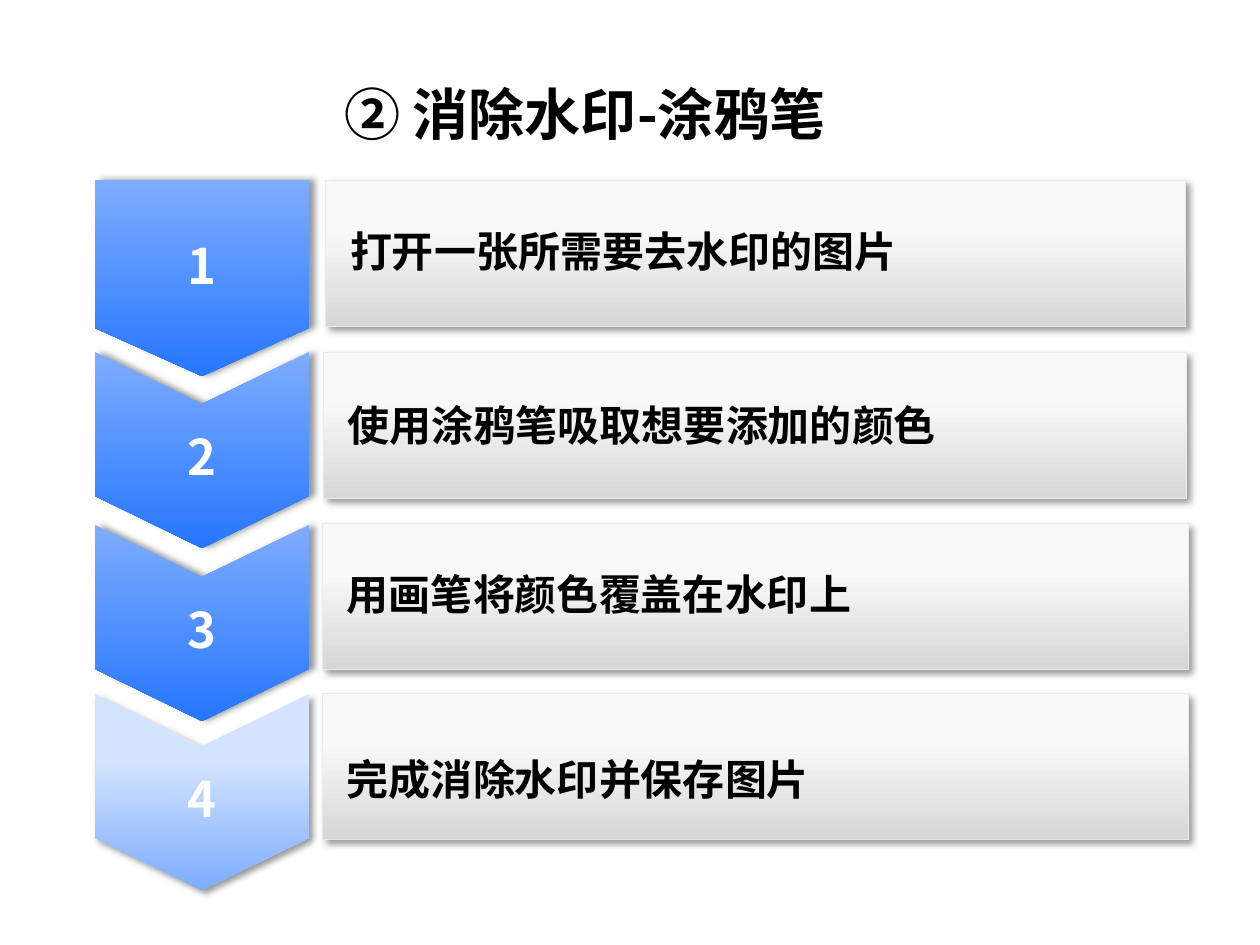
from lxml.etree import SubElement
from pptx import Presentation
from pptx.dml.color import RGBColor
from pptx.enum.shapes import MSO_SHAPE
from pptx.enum.text import MSO_ANCHOR, PP_ALIGN
from pptx.oxml.ns import qn
from pptx.util import Emu, Pt

SCALE = 914400 / 126  # EMU per px
FONT = "Noto Sans CJK SC"

BLACK = RGBColor(0x00, 0x00, 0x00)
WHITE = RGBColor(0xFF, 0xFF, 0xFF)
BORDER = RGBColor(0xEA, 0xEA, 0xEA)
GREY_TOP = RGBColor(0xF9, 0xF9, 0xF9)
GREY_BOTTOM = RGBColor(0xD7, 0xD7, 0xD7)
PALE_BLUE = RGBColor(0xD4, 0xE4, 0xFF)
LIGHT_BLUE = RGBColor(0x7D, 0xAD, 0xFF)
BLUE = RGBColor(0x26, 0x76, 0xFF)

# Step chevrons
CHEVRON_X, CHEVRON_W, CHEVRON_H = 95, 214, 196
POINT_DEPTH = 52
BAR_H = 146


def px(n):
    return Emu(round(n * SCALE))


class Deck:
    def __init__(self, width, height):
        self.prs = Presentation()
        self.prs.slide_width, self.prs.slide_height = px(width), px(height)
        self.s = self.prs.slides.add_slide(self.prs.slide_layouts[6])

    def set_text(self, sp, text, size, color, align=PP_ALIGN.LEFT, spacing=1.0,
                 insets=(13, 6, 13, 6)):
        tf = sp.text_frame
        tf.word_wrap = True
        tf.vertical_anchor = MSO_ANCHOR.MIDDLE
        tf.margin_left, tf.margin_top, tf.margin_right, tf.margin_bottom = map(px, insets)
        p = tf.paragraphs[0]
        p.add_run().text = text
        p.alignment = align
        p.line_spacing = spacing
        p.font.size, p.font.bold, p.font.name = Pt(size), True, FONT
        p.font.color.rgb = color
        # East Asian typeface
        SubElement(p._p.pPr.find(qn("a:defRPr")), qn("a:ea"), typeface=FONT)

    def gradient(self, sp, start, first, last):
        sp.fill.gradient()
        sp.fill.gradient_angle = 270
        stops = sp.fill.gradient_stops
        for stop, position, color in zip(stops, (start, 1), (first, last)):
            stop.position = position
            stop.color.rgb = color

    def shadow(self, sp, angle):
        sp.shadow.inherit = False
        effects = sp._element.spPr.find(qn("a:effectLst"))
        outer = SubElement(effects, qn("a:outerShdw"), blurRad=str(Pt(4)), dist=str(Pt(3)),
                           dir=str(angle * 60000), algn="tl", rotWithShape="0")
        color = SubElement(outer, qn("a:srgbClr"), val=str(BLACK))
        SubElement(color, qn("a:alpha"), val="40000")

    def title(self, x, y, w, h, text):
        sp = self.s.shapes.add_textbox(px(x), px(y), px(w), px(h))
        self.set_text(sp, text, 32, BLACK)

    def bar(self, x, y, w, text, spacing, bottom):
        sp = self.s.shapes.add_shape(MSO_SHAPE.RECTANGLE, px(x), px(y), px(w), px(BAR_H))
        self.gradient(sp, 0.33, GREY_TOP, GREY_BOTTOM)
        sp.line.color.rgb = BORDER
        sp.line.width = Pt(0.25)
        self.shadow(sp, 45)
        self.set_text(sp, text, 24, BLACK, spacing=spacing, insets=(25, 6, 13, bottom))

    def chevron(self, y, label, first=False, last=False):
        x, middle, right = CHEVRON_X, CHEVRON_X + CHEVRON_W // 2, CHEVRON_X + CHEVRON_W
        shoulder = y + CHEVRON_H - (48 if first else POINT_DEPTH)
        notch = [] if first else [(middle, y + POINT_DEPTH)]
        builder = self.s.shapes.build_freeform(x, y, scale=SCALE)
        builder.add_line_segments(
            notch + [(right, y), (right, shoulder), (middle, y + CHEVRON_H), (x, shoulder)])
        sp = builder.convert_to_shape()
        if last:
            self.gradient(sp, 0.33, PALE_BLUE, LIGHT_BLUE)
        else:
            self.gradient(sp, 0, LIGHT_BLUE, BLUE)
        sp.line.fill.background()
        self.shadow(sp, 45 if last else 0)
        self.set_text(sp, label, 28, WHITE, PP_ALIGN.CENTER, 1.2,
                      (13, 6, 13, 44 if first else 6))


def main():
    deck = Deck(1260, 945)

    # Steps: bar x, bar y, bar width, chevron y, text, line spacing, bottom inset
    steps = [
        (325, 180, 860, 180, "打开一张所需要去水印的图片", 1.5, 36),
        (323, 352, 863, 352, "使用涂鸦笔吸取想要添加的颜色", 1.0, 6),
        (322, 523, 866, 525, "用画笔将颜色覆盖在水印上", 1.5, 36),
        (322, 693, 866, 694, "完成消除水印并保存图片", 1.5, 6),
    ]
    for number, (x, y, w, chevron_y, text, spacing, bottom) in enumerate(steps, 1):
        deck.bar(x, y, w, text, spacing, bottom)
        deck.chevron(chevron_y, str(number), number == 1, number == len(steps))

    # Title
    deck.title(331, 73, 684, 81, "② 消除水印-涂鸦笔")

    deck.prs.save("out.pptx")


if __name__ == "__main__":
    main()
